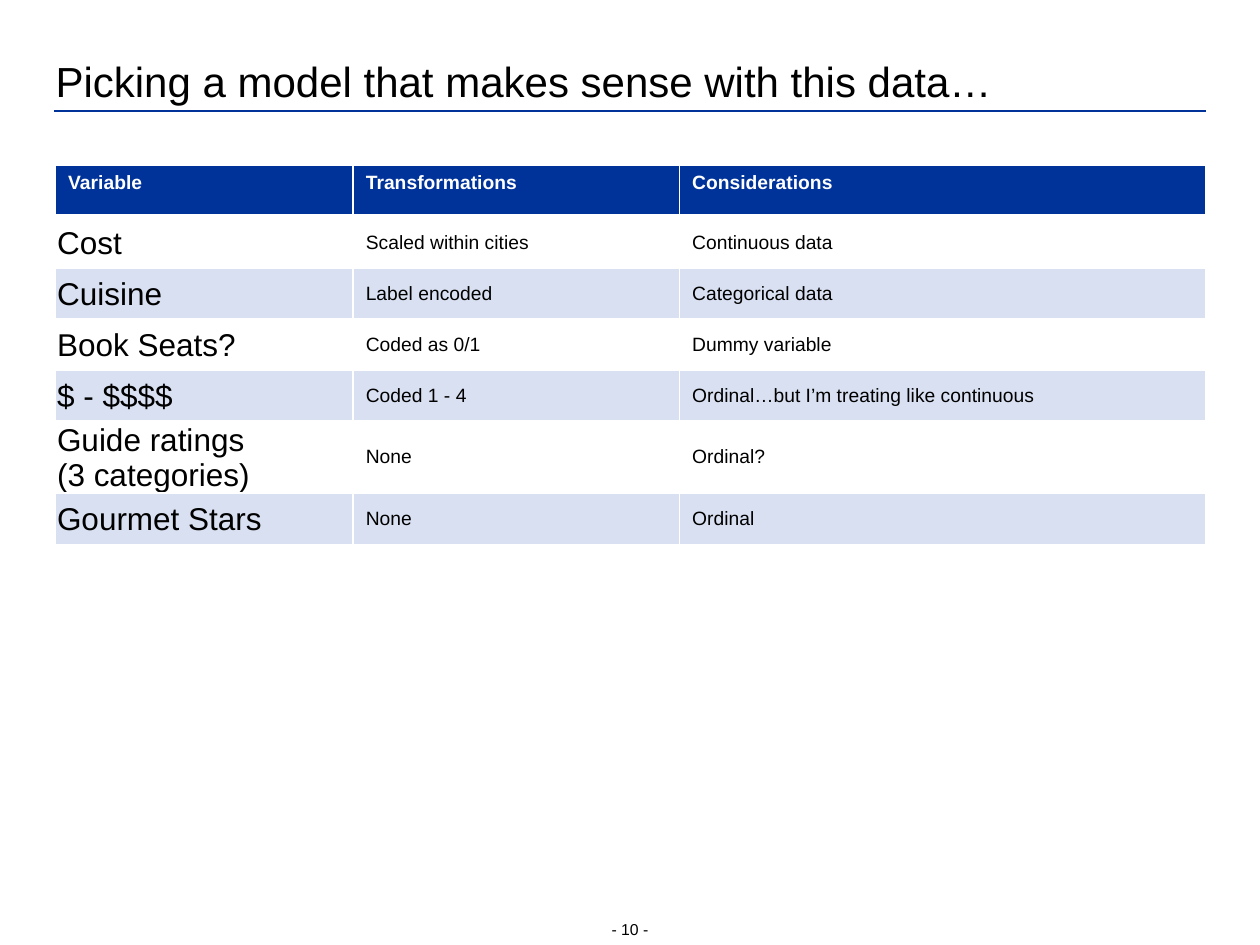
from lxml.etree import SubElement
from pptx import Presentation
from pptx.dml.color import RGBColor
from pptx.enum.shapes import MSO_CONNECTOR
from pptx.enum.text import MSO_ANCHOR, MSO_AUTO_SIZE, PP_ALIGN
from pptx.oxml.ns import qn
from pptx.util import Cm, Pt

# Content
TITLE = "Picking a model that makes sense with this data…"
PAGE = "- 10 -"
HEAD = ["Variable", "Transformations", "Considerations"]
ROWS = [
    (["Cost"], "Scaled within cities", "Continuous data"),
    (["Cuisine"], "Label encoded", "Categorical data"),
    (["Book Seats?"], "Coded as 0/1", "Dummy variable"),
    (["$ - $$$$"], "Coded 1 - 4", "Ordinal…but I’m treating like continuous"),
    (["Guide ratings", "(3 categories)"], "None", "Ordinal?"),
    (["Gourmet Stars"], "None", "Ordinal"),
]

# Style and grid
FONT = "Arial"
BLUE, PALE, WHITE, BLACK = "003399", "D8E0F1", "FFFFFF", "000000"
LEFT, WIDE = 1.12, 23.18
COLS = [6, 6.58, 10.6]
ROW_H = 1.03


def color(code):
    return RGBColor.from_string(code)


def write(frame, lines, size, code=BLACK, bold=False, align=PP_ALIGN.LEFT, space=None):
    for i, line in enumerate(lines):
        para = frame.paragraphs[0] if i == 0 else frame.add_paragraph()
        para.alignment = align
        if space:
            para.line_spacing = space
        run = para.add_run()
        run.text = line
        font = run.font
        font.name, font.size, font.bold = FONT, Pt(size), bold
        font.color.rgb = color(code)


def set_box(frame, wrap):
    frame.margin_left = frame.margin_right = frame.margin_top = frame.margin_bottom = 0
    frame.vertical_anchor = MSO_ANCHOR.BOTTOM
    frame.auto_size = MSO_AUTO_SIZE.NONE
    frame.word_wrap = wrap


def edge(cell, base):
    props = cell._tc.get_or_add_tcPr()
    for side, width in (("L", 1), ("R", 1), ("T", 1), ("B", base)):
        line = SubElement(props, qn("a:ln" + side), w=str(Pt(width)))
        fill = SubElement(line, qn("a:solidFill"))
        SubElement(fill, qn("a:srgbClr"), val=WHITE)


def paint(cell, code):
    if code:
        cell.fill.solid()
        cell.fill.fore_color.rgb = color(code)
    else:
        cell.fill.background()


deck = Presentation()
deck.slide_width, deck.slide_height = Cm(25.4), Cm(19.05)
slide = deck.slides.add_slide(deck.slide_layouts[5])

# Title and rule
title = slide.shapes.title
title.left, title.top, title.width, title.height = Cm(LEFT), Cm(1.04), Cm(WIDE), Cm(1.09)
set_box(title.text_frame, True)
write(title.text_frame, [TITLE], 24, space=1.06)

rule = slide.shapes.add_connector(
    MSO_CONNECTOR.STRAIGHT, Cm(1.09), Cm(2.24), Cm(24.31), Cm(2.24))
rule.line.color.rgb = color(BLUE)
rule.line.width = Pt(1.5)
SubElement(rule._element.spPr, qn("a:effectLst"))

# Table
count = len(ROWS) + 1
table = slide.shapes.add_table(
    count, len(COLS), Cm(LEFT), Cm(3.34), Cm(WIDE), Cm(ROW_H * count)).table
for col, width in zip(table.columns, COLS):
    col.width = Cm(width)
for row in table.rows:
    row.height = Cm(ROW_H)

for c, text in enumerate(HEAD):
    cell = table.cell(0, c)
    edge(cell, 3)
    paint(cell, BLUE)
    write(cell.text_frame, [text], 11, WHITE, True)

for r, (name, *notes) in enumerate(ROWS, 1):
    for c, lines in enumerate([name] + [[note] for note in notes]):
        cell = table.cell(r, c)
        edge(cell, 1)
        paint(cell, None if r % 2 else PALE)
        cell.vertical_anchor = MSO_ANCHOR.MIDDLE
        if c == 0:
            cell.margin_left = cell.margin_right = cell.margin_top = Cm(0.03)
            cell.margin_bottom = 0
        write(cell.text_frame, lines, 11 if c else 18)

# Page number
page = slide.shapes.add_textbox(Cm(12.31), Cm(18.52), Cm(0.78), Cm(0.4))
set_box(page.text_frame, False)
write(page.text_frame, [PAGE], 9, align=PP_ALIGN.CENTER, space=1.06)

deck.save("out.pptx")
